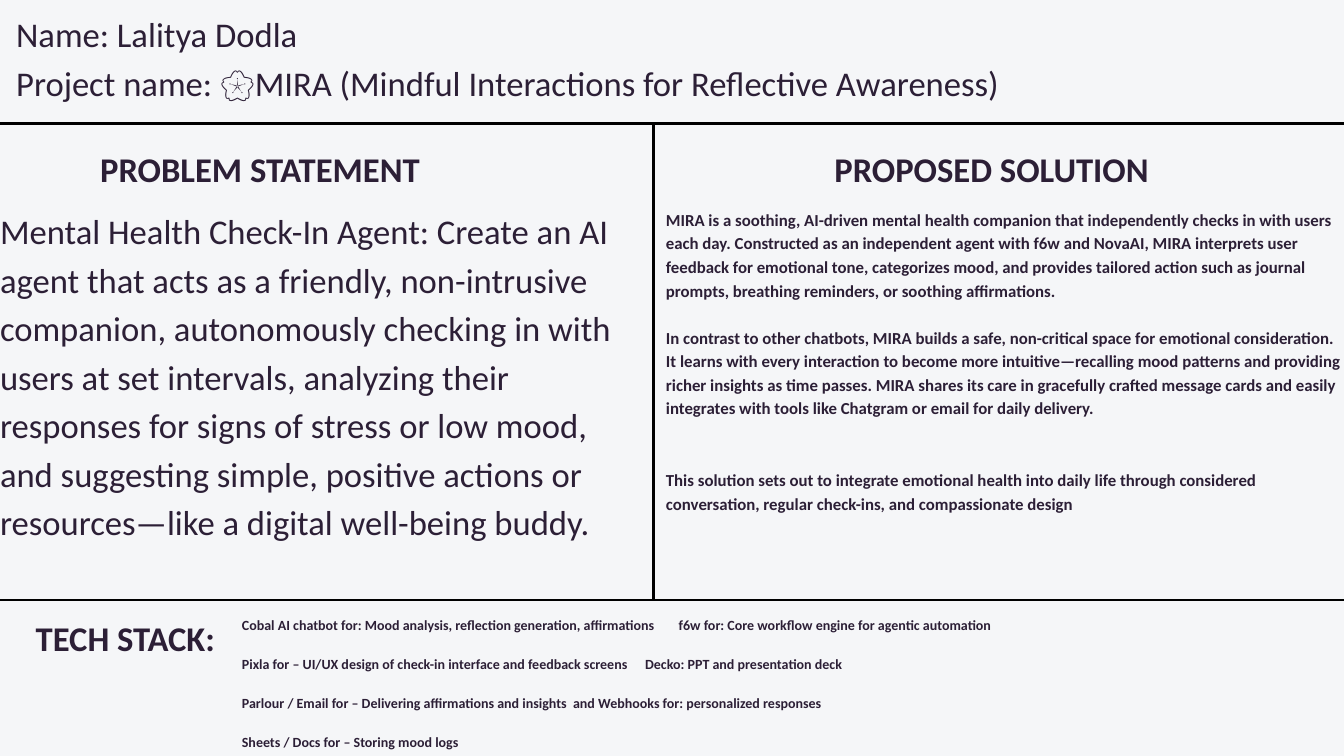
import pptx
import pptx.util
import pptx.dml.color
import pptx.enum.shapes
import pptx.enum.text
import pptx.oxml.ns
from lxml import etree

Inches, Pt = pptx.util.Inches, pptx.util.Pt
LEFT, CENTER = pptx.enum.text.PP_ALIGN.LEFT, pptx.enum.text.PP_ALIGN.CENTER
FONT, INK, RULE, PAPER = "Calibri", "2C1F36", "000000", "F5F6F8"

# Content
HEADER = [
    "Name: Lalitya Dodla",
    "Project name: 🌸MIRA (Mindful Interactions for Reflective Awareness)",
]
PROBLEM = [
    "Mental Health Check-In Agent: Create an AI agent that acts as a friendly, "
    "non-intrusive companion, autonomously checking in with users at set intervals, "
    "analyzing their responses for signs of stress or low mood, and suggesting simple, "
    "positive actions or resources—like a digital well-being buddy.",
]
SOLUTION = [
    "MIRA is a soothing, AI-driven mental health companion that independently checks in "
    "with users each day. Constructed as an independent agent with f6w and NovaAI, MIRA "
    "interprets user feedback for emotional tone, categorizes mood, and provides tailored "
    "action such as journal prompts, breathing reminders, or soothing affirmations.",
    "In contrast to other chatbots, MIRA builds a safe, non-critical space for emotional "
    "consideration. It learns with every interaction to become more intuitive—recalling "
    "mood patterns and providing richer insights as time passes. MIRA shares its care in "
    "gracefully crafted message cards and easily integrates with tools like Chatgram or "
    "email for daily delivery.",
    "This solution sets out to integrate emotional health into daily life through "
    "considered conversation, regular check-ins, and compassionate design",
]
TECH = [
    "Cobal AI chatbot for: Mood analysis, reflection generation, affirmations"
    "\tf6w for: Core workflow engine for agentic automation",
    "Pixla for – UI/UX design of check-in interface and feedback screens"
    "\tDecko: PPT and presentation deck",
    "Parlour / Email for – Delivering affirmations and insights  and Webhooks for: "
    "personalized responses",
    "Sheets / Docs for – Storing mood logs",
]
TECH_TABS = [6.8, 6.64, None, None]  # start of the second tool, from the box's left

# Lines between the panels: x1, y1, x2, y2
TOP, BOTTOM, MIDDLE = 1.84, 8.93, 9.73
DIVIDERS = [(0, TOP, 20, TOP), (MIDDLE, TOP, MIDDLE, BOTTOM), (-0.21, BOTTOM, 20, BOTTOM)]


def color(hex_code):
    return pptx.dml.color.RGBColor.from_string(hex_code)


def add_to_paragraph(paragraph, tag, **attributes):
    properties = paragraph._p.get_or_add_pPr()
    return etree.SubElement(properties, pptx.oxml.ns.qn(tag), **attributes)


def fill_text(panel, place, lines, size=37.1, leading=52, bold=False,
              align=LEFT, gaps=(), tabs=()):
    """Place a panel and write its lines; gaps are the points after each line."""
    panel.left, panel.top, panel.width, panel.height = map(Inches, place)
    frame = panel.text_frame
    frame.margin_left = frame.margin_right = frame.margin_top = frame.margin_bottom = 0
    frame.word_wrap = True
    frame.auto_size = pptx.enum.text.MSO_AUTO_SIZE.NONE
    frame.vertical_anchor = pptx.enum.text.MSO_ANCHOR.TOP
    for i, line in enumerate(lines):
        paragraph = frame.paragraphs[0] if i == 0 else frame.add_paragraph()
        paragraph.text = line
        paragraph.alignment = align
        paragraph.line_spacing = Pt(leading)
        paragraph.space_before = Pt(0)
        paragraph.space_after = Pt(gaps[i] if i < len(gaps) else 0)
        properties = paragraph._p.get_or_add_pPr()
        properties.set("marL", "0")
        properties.set("indent", "0")
        add_to_paragraph(paragraph, "a:buNone")
        if i < len(tabs) and tabs[i]:
            stops = add_to_paragraph(paragraph, "a:tabLst")
            etree.SubElement(stops, pptx.oxml.ns.qn("a:tab"),
                             pos=str(Inches(tabs[i])), algn="l")
        font = paragraph.font
        font.name, font.size, font.bold = FONT, Pt(size), bold
        font.color.rgb = color(INK)


deck = pptx.Presentation()
deck.slide_width, deck.slide_height = Inches(20), Inches(11.25)
slide = deck.slides.add_slide(deck.slide_layouts.get_by_name("Comparison"))
slide.background.fill.solid()
slide.background.fill.fore_color.rgb = color(PAPER)

# Dividers
for x1, y1, x2, y2 in DIVIDERS:
    divider = slide.shapes.add_connector(
        pptx.enum.shapes.MSO_CONNECTOR.STRAIGHT,
        Inches(x1), Inches(y1), Inches(x2), Inches(y2))
    divider.line.color.rgb = color(RULE)
    divider.line.width = Pt(3)
    etree.SubElement(divider._element.spPr, pptx.oxml.ns.qn("a:effectLst"))

# Header, problem and solution
header, problem_title, problem, solution_title, solution = slide.placeholders
fill_text(header, (0.24, 0.09, 19.7, 1.41), HEADER)
fill_text(problem_title, (1.49, 2.09, 6.09, 0.7), ["PROBLEM STATEMENT"], bold=True)
fill_text(problem, (0, 3.02, 9.56, 5.8), PROBLEM)
fill_text(solution_title, (10.67, 2.09, 8.17, 0.7), ["PROPOSED SOLUTION"],
          bold=True, align=CENTER)
fill_text(solution, (9.91, 3.07, 10.09, 5.17), SOLUTION, size=18, leading=25.2,
          bold=True, gaps=(25.2, 52))

# Tech stack
tech_title = slide.shapes.add_textbox(0, 0, 0, 0)
fill_text(tech_title, (0.24, 9.08, 3.25, 0.7), ["TECH STACK:"], bold=True, align=CENTER)
tech = slide.shapes.add_textbox(0, 0, 0, 0)
fill_text(tech, (3.6, 9.13, 14.57, 2.03), TECH, size=15, leading=21, bold=True,
          gaps=(21, 21, 21), tabs=TECH_TABS)

deck.save("out.pptx")
